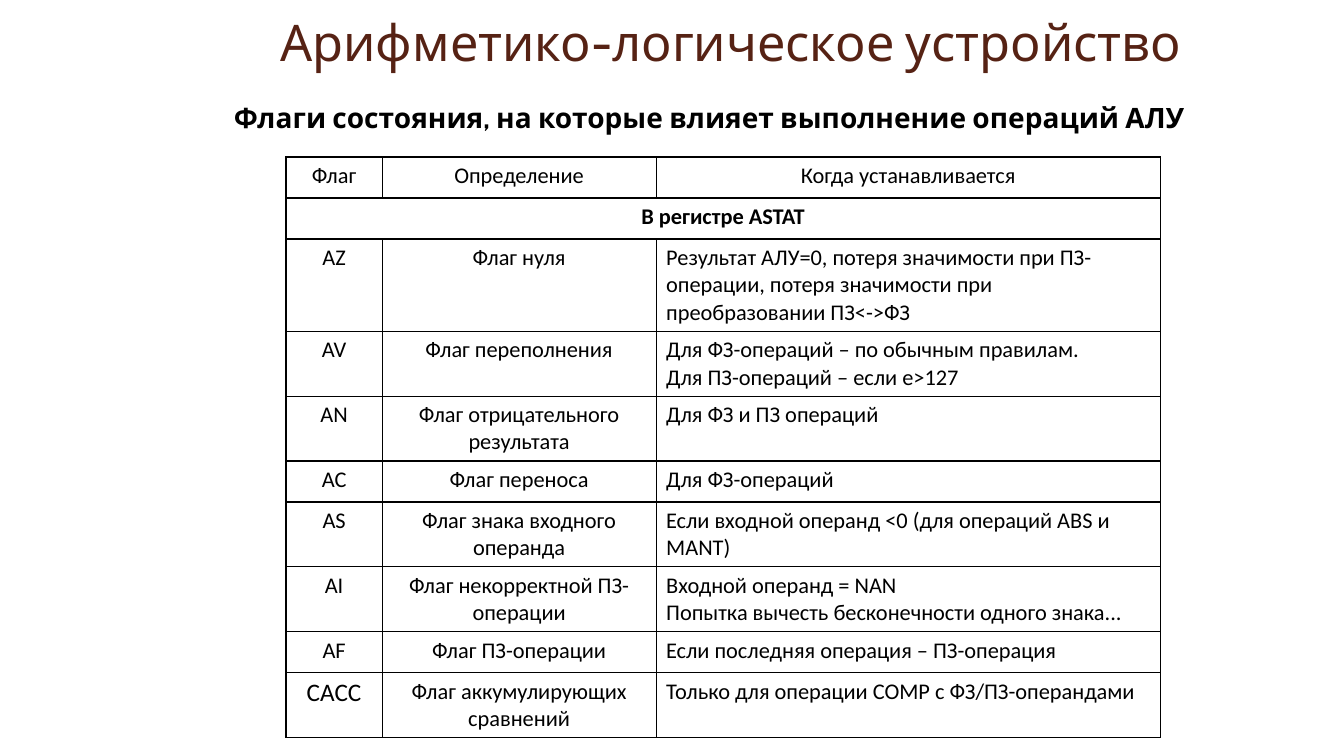
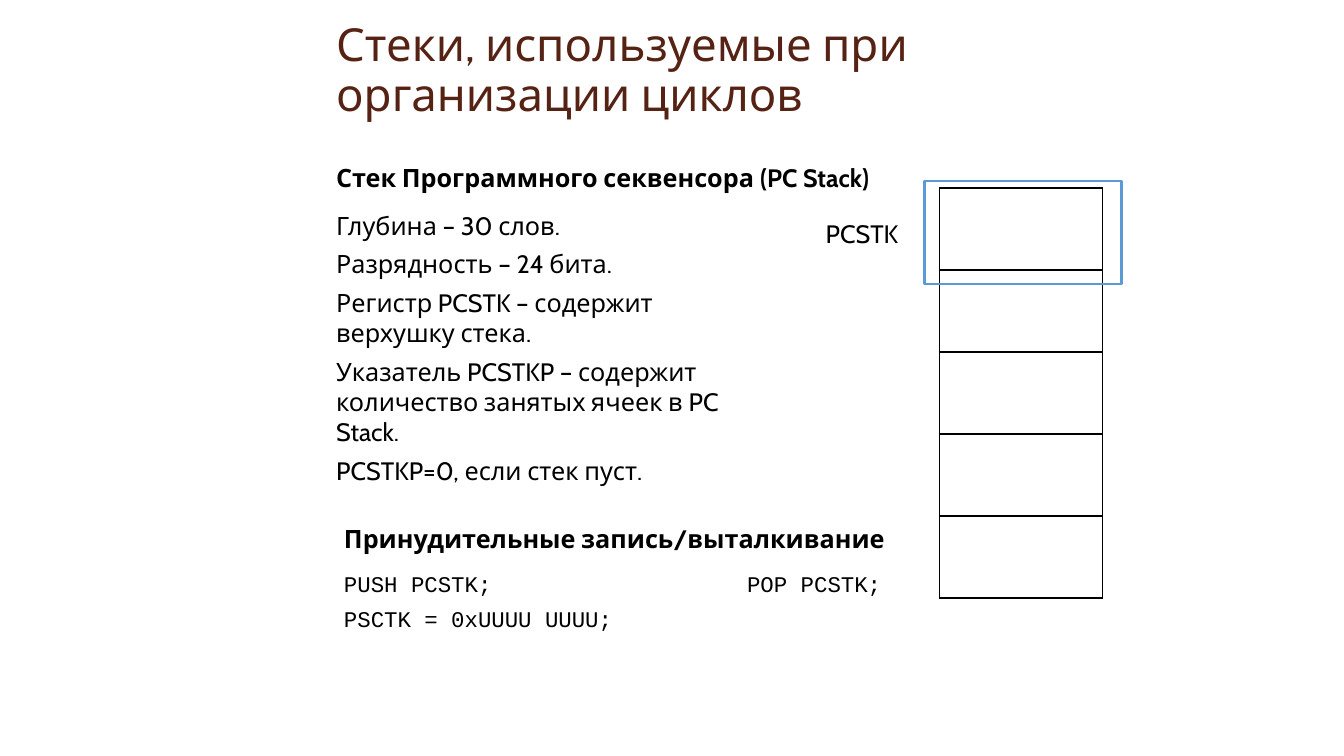
"""Build two slides on processor flags and the loop stack."""
from lxml import etree
from pptx import Presentation
from pptx.dml.color import RGBColor
from pptx.enum.shapes import MSO_SHAPE
from pptx.enum.text import MSO_ANCHOR, MSO_AUTO_SIZE, PP_ALIGN
from pptx.oxml.ns import qn
from pptx.util import Inches, Pt

LEFT, MID, RIGHT = PP_ALIGN.LEFT, PP_ALIGN.CENTER, PP_ALIGN.RIGHT
BOTTOM, TOP = MSO_ANCHOR.BOTTOM, MSO_ANCHOR.TOP
FIXED = MSO_AUTO_SIZE.NONE
RECT = MSO_SHAPE.RECTANGLE
TITLE_ONLY, CONTENT = 5, 1
SCALE = 914400 / 100.8

THEME = {
    "ink": RGBColor.from_string("000000"),
    "title": RGBColor.from_string("562214"),
    "mark": RGBColor.from_string("5B9BD5"),
    "rule": Pt(1),
    "edge": Pt(2),
}
BODY = {"name": "Cabin", "size": Pt(18), "color": THEME["ink"], "bold": False}
HEAD = {**BODY, "bold": True}
LEAD = {**HEAD, "size": Pt(20)}
CELL = {**BODY, "name": "Calibri", "size": Pt(16)}
CODE = {**BODY, "name": "Courier New", "size": Pt(16)}
TITLE = {**BODY, "color": THEME["title"]}
PLAIN = {"alignment": LEFT, "space_before": Pt(0)}
LOOSE = {"alignment": LEFT, "space_before": Pt(6)}
TIGHT = {**PLAIN, "line_spacing": 0.9}

FLAGS = {
    "title": ("Арифметико-логическое устройство", (270, 7, 927, 71), Pt(36)),
    "lead": ("Флаги состояния, на которые влияет выполнение операций АЛУ",
             (224, 96, 999, 44)),
    "at": (286, 157),
    "cols": (96, 274, 504),
    "row": 41,
    "rows": [
        ("Флаг", "Определение", "Когда устанавливается"),
        ("В регистре ASTAT",),
        ("AZ", "Флаг нуля",
         "Результат АЛУ=0, потеря значимости при ПЗ-операции, "
         "потеря значимости при преобразовании ПЗ<->ФЗ"),
        ("AV", "Флаг переполнения",
         "Для ФЗ-операций – по обычным правилам.\n"
         "Для ПЗ-операций – если e>127"),
        ("AN", "Флаг отрицательного результата", "Для ФЗ и ПЗ операций"),
        ("AC", "Флаг переноса", "Для ФЗ-операций"),
        ("AS", "Флаг знака входного операнда",
         "Если входной операнд <0 (для операций ABS и MANT)"),
        ("AI", "Флаг некорректной ПЗ-операции",
         "Входной операнд = NAN\n"
         "Попытка вычесть бесконечности одного знака..."),
        ("AF", "Флаг ПЗ-операции", "Если последняя операция – ПЗ-операция"),
        ("CACC", "Флаг аккумулирующих сравнений",
         "Только для операции COMP с ФЗ/ПЗ-операндами"),
    ],
}
STACK = {
    "title": ("Стеки, используемые при организации циклов",
              (326, 16, 816, 110), Pt(32.5)),
    "list": ("Глубина – 30 слов.\n"
             "Разрядность – 24 бита.\n"
             "Регистр PCSTK – содержит верхушку стека.\n"
             "Указатель PCSTKP – содержит количество занятых ячеек "
             "в PC Stack.\n"
             "PCSTKP=0, если стек пуст.", (326, 205, 457, 258)),
    "heads": [
        ("Стек Программного секвенсора (PC Stack)", (326, 157, 787, 40)),
        ("Принудительные запись/выталкивание", (334, 518, 787, 40)),
    ],
    "label": ("PCSTK", (798, 213, 110, 40)),
    "code": ("PUSH PCSTK;\tPOP PCSTK;\nPSCTK = 0xUUUU UUUU;",
             (334, 565, 583, 109)),
    "tab": 403,
    "at": (939, 188),
    "cols": (163,),
    "row": 82,
    "rows": [("",)] * 5,
    "mark": (924, 181, 197, 103),
}


def px(num):
    return round(num * SCALE)


def apply(item, values):
    for key, value in values.items():
        setattr(item, key, value)


def write(frame, text, font, para=PLAIN):
    frame.text = text
    for line in frame.paragraphs:
        apply(line, para)
        for run in line.runs:
            apply(run.font, {k: v for k, v in font.items() if k != "color"})
            run.font.color.rgb = font["color"]


def place(shape, box):
    apply(shape, dict(zip(("left", "top", "width", "height"), map(px, box))))


def settle(shape, box, anchor):
    place(shape, box)
    apply(shape.text_frame, {"word_wrap": True, "auto_size": FIXED,
                             "vertical_anchor": anchor})
    return shape.text_frame


def start(deck, layout, title):
    slide = deck.slides.add_slide(deck.slide_layouts[layout])
    text, box, size = title
    frame = settle(slide.shapes.title, box, BOTTOM)
    write(frame, text, {**TITLE, "size": size}, TIGHT)
    return slide


def label(slide, text, box, font, para=PLAIN):
    frame = settle(slide.shapes.add_textbox(*map(px, box)), box, TOP)
    write(frame, text, font, para)
    return frame


def border(cell):
    props = cell._tc.get_or_add_tcPr()
    for side in ("lnL", "lnR", "lnT", "lnB"):
        line = etree.SubElement(props, qn("a:" + side), w=str(THEME["rule"]))
        fill = etree.SubElement(line, qn("a:solidFill"))
        etree.SubElement(fill, qn("a:srgbClr"), val=str(THEME["ink"]))
    cell.fill.background()


def grid(slide, data):
    rows, cols = data["rows"], data["cols"]
    size = sum(cols), data["row"] * len(rows)
    table = slide.shapes.add_table(
        len(rows), len(cols), *map(px, data["at"] + size)).table
    apply(table, {"first_row": False, "horz_banding": False})
    for col, width in zip(table.columns, cols):
        col.width = px(width)
    for row in table.rows:
        row.height = px(data["row"])
    for cell in table.iter_cells():
        border(cell)
    for i, row in enumerate(rows):
        span = len(row) < len(cols)
        if span:
            table.cell(i, 0).merge(table.cell(i, len(cols) - 1))
        for j, text in enumerate(row):
            side = LEFT if i and j == 2 else MID
            font = {**CELL, "bold": span}
            if text == "CACC":
                font["size"] = BODY["size"]
            write(table.cell(i, j).text_frame, text, font,
                  {"alignment": side})


def show_flags(deck):
    slide = start(deck, TITLE_ONLY, FLAGS["title"])
    label(slide, *FLAGS["lead"], LEAD)
    grid(slide, FLAGS)


def show_stack(deck):
    slide = start(deck, CONTENT, STACK["title"])
    text, box = STACK["list"]
    frame = settle(slide.placeholders[1], box, TOP)
    write(frame, text, BODY, LOOSE)
    for line in frame.paragraphs:
        props = line._p.get_or_add_pPr()
        for key in ("marL", "indent"):
            props.set(key, "0")
        etree.SubElement(props, qn("a:buNone"))
    for head in STACK["heads"]:
        label(slide, *head, HEAD)
    grid(slide, STACK)
    mark = slide.shapes.add_shape(RECT, *map(px, STACK["mark"]))
    mark.shadow.inherit = False
    mark.fill.background()
    mark.line.color.rgb = THEME["mark"]
    mark.line.width = THEME["edge"]
    label(slide, *STACK["label"], BODY, {"alignment": RIGHT})
    code = label(slide, *STACK["code"], CODE, LOOSE)
    props = code.paragraphs[0]._p.get_or_add_pPr()
    tabs = etree.SubElement(props, qn("a:tabLst"))
    etree.SubElement(tabs, qn("a:tab"), pos=str(px(STACK["tab"])), algn="l")


def main():
    deck = Presentation()
    apply(deck, {"slide_width": Inches(13.33), "slide_height": Inches(7.5)})
    show_flags(deck)
    show_stack(deck)
    deck.save("out.pptx")


if __name__ == "__main__":
    main()
